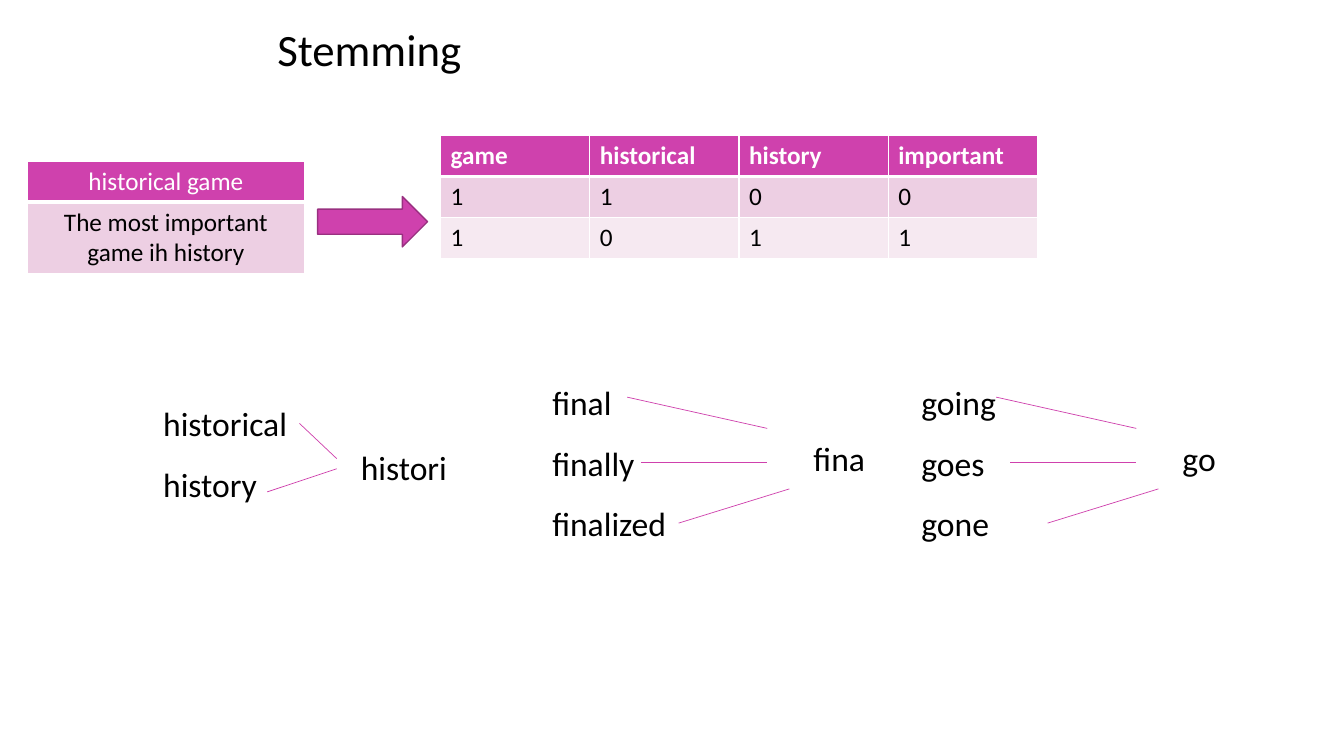
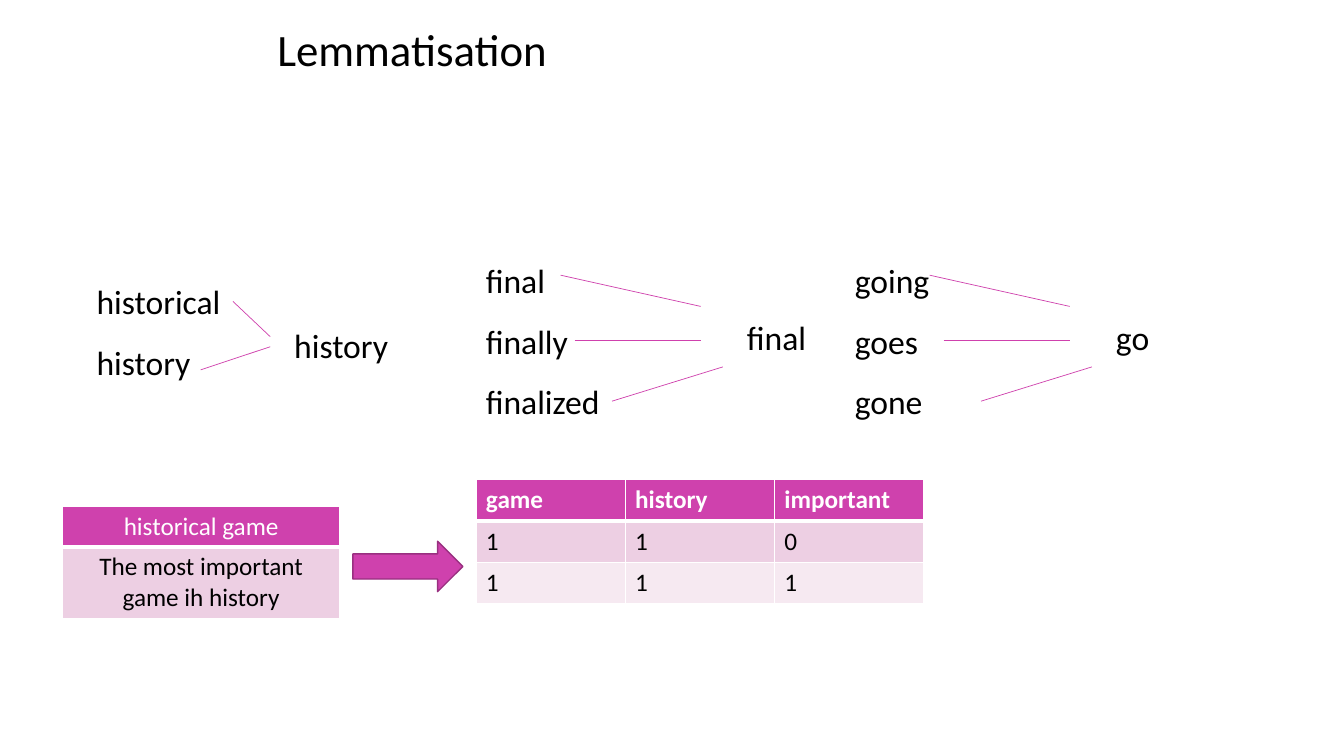
from lxml import etree
from pptx import Presentation
from pptx.dml.color import RGBColor
from pptx.enum.shapes import MSO_CONNECTOR, MSO_SHAPE
from pptx.enum.text import MSO_ANCHOR, MSO_AUTO_SIZE, PP_ALIGN
from pptx.oxml import parse_xml
from pptx.oxml.ns import nsdecls, qn
from pptx.util import Inches, Pt

COLORS = {
    "text": "000000",
    "white": "FFFFFF",
    "magenta": "CF41AD",
    "outline": "993080",
    "band_dark": "EDCFE3",
    "band_light": "F6E9F1",
}
FONT = "Calibri"


def add_text(frame, text, size, color="text", bold=False, align=PP_ALIGN.LEFT):
    paragraph = frame.paragraphs[0]
    paragraph.alignment = align
    run = paragraph.add_run()
    run.text = text
    run.font.name = FONT
    run.font.size = Pt(size)
    run.font.bold = bold
    run.font.color.rgb = RGBColor.from_string(COLORS[color])


def add_grid(slide, left, top, column_width, row_heights, rows, bold_header, align):
    columns = len(rows[0])
    grid = slide.shapes.add_table(
        len(rows), columns, Inches(left), Inches(top),
        Inches(column_width * columns), Inches(sum(row_heights))).table
    grid.horz_banding = False
    for column in grid.columns:
        column.width = Inches(column_width)
    for r, values in enumerate(rows):
        grid.rows[r].height = Inches(row_heights[r])
        fill = ("magenta", "band_dark", "band_light")[r]
        for c, value in enumerate(values):
            cell = grid.cell(r, c)
            cell.fill.solid()
            cell.fill.fore_color.rgb = RGBColor.from_string(COLORS[fill])
            add_text(cell.text_frame, value, 18, "text" if r else "white",
                     bold_header and r == 0, align)
            # White borders, with a thick rule under the header
            widths = {"lnL": 1, "lnR": 1, "lnT": 3 if r == 1 else 1, "lnB": 1 if r else 3}
            for position, (side, width) in enumerate(widths.items()):
                cell._tc.get_or_add_tcPr().insert(position, parse_xml(
                    f'<a:{side} {nsdecls("a")} w="{Pt(width)}"><a:solidFill>'
                    f'<a:srgbClr val="{COLORS["white"]}"/></a:solidFill></a:{side}>'))


# Word groups: offsets from the diagram corner, then offsets within the group
PAIR_LINES = [(1.45, 0.25, 1.82, 0.6), (1.13, 0.93, 1.82, 0.7)]
TRIPLE_LINES = [(0.84, 0.2, 2.23, 0.51), (0.98, 0.85, 2.23, 0.85), (1.35, 1.45, 2.45, 1.11)]
WORD_GROUPS = [
    (0, 0.21, ["historical", "history"], PAIR_LINES, (1.96, 0.43)),
    (3.86, 0, ["final", "finally", "finalized"], TRIPLE_LINES, (2.59, 0.56)),
    (7.52, 0, ["going", "goes", "gone"], TRIPLE_LINES, (2.59, 0.56)),
]
WORD_STEP = 0.6
DOCUMENTS = [["historical game"], ["The most important game ih history"]]

TOPICS = [
    {
        "title": "Stemming",
        "diagram": (1.52, 3.74),
        "bases": ["histori", "fina", "go"],
        "vectors": (0.27, 1.34),
        "counts": [["game", "historical", "history", "important"],
                   ["1", "1", "0", "0"],
                   ["1", "0", "1", "1"]],
    },
    {
        "title": "Lemmatisation",
        "diagram": (0.86, 2.53),
        "bases": ["history", "final", "go"],
        "vectors": (0.62, 4.76),
        "counts": [["game", "history", "important"],
                   ["1", "1", "0"],
                   ["1", "1", "1"]],
    },
]

prs = Presentation()
prs.slide_width, prs.slide_height = Inches(13.33), Inches(7.5)
title_layout = prs.slide_layouts[5]

# Shared title position
layout_title = title_layout.placeholders[0]
layout_title.left, layout_title.top = Inches(2.65), Inches(0.17)
layout_title.width, layout_title.height = Inches(4.6), Inches(0.64)
layout_title.text_frame.vertical_anchor = MSO_ANCHOR.TOP
layout_title.text_frame.auto_size = MSO_AUTO_SIZE.NONE

for topic in TOPICS:
    slide = prs.slides.add_slide(title_layout)
    add_text(slide.shapes.title.text_frame, topic["title"], 32)

    # Documents, arrow and word counts
    left, top = topic["vectors"]
    add_grid(slide, left, top + 0.26, 2.75, [0.4, 0.7], DOCUMENTS, False, PP_ALIGN.CENTER)
    arrow = slide.shapes.add_shape(MSO_SHAPE.RIGHT_ARROW, Inches(left + 2.88),
                                   Inches(top + 0.61), Inches(1.09), Inches(0.5))
    arrow.shadow.inherit = False
    arrow.fill.solid()
    arrow.fill.fore_color.rgb = RGBColor.from_string(COLORS["magenta"])
    arrow.line.color.rgb = RGBColor.from_string(COLORS["outline"])
    arrow.line.width = Pt(1)
    add_grid(slide, left + 4.1, top, 1.48, [0.41] * 3, topic["counts"], True, PP_ALIGN.LEFT)

    # Word forms joined to their base form
    diagram_left, diagram_top = topic["diagram"]
    for (dx, dy, forms, lines, (base_x, base_y)), base in zip(WORD_GROUPS, topic["bases"]):
        left, top = diagram_left + dx, diagram_top + dy
        labels = [(form, 0, i * WORD_STEP, 1.5) for i, form in enumerate(forms)]
        labels.append((base, base_x, base_y, 1.2))
        for word, x, y, width in labels:
            label = slide.shapes.add_textbox(Inches(left + x), Inches(top + y),
                                             Inches(width), Inches(0.5))
            label.text_frame.word_wrap = True
            add_text(label.text_frame, word, 24)
        for x1, y1, x2, y2 in lines:
            link = slide.shapes.add_connector(
                MSO_CONNECTOR.STRAIGHT, Inches(left + x1), Inches(top + y1),
                Inches(left + x2), Inches(top + y2))
            link.line.color.rgb = RGBColor.from_string(COLORS["magenta"])
            link.line.width = Pt(0.5)
            etree.SubElement(link._element.spPr, qn("a:effectLst"))

prs.save("out.pptx")
